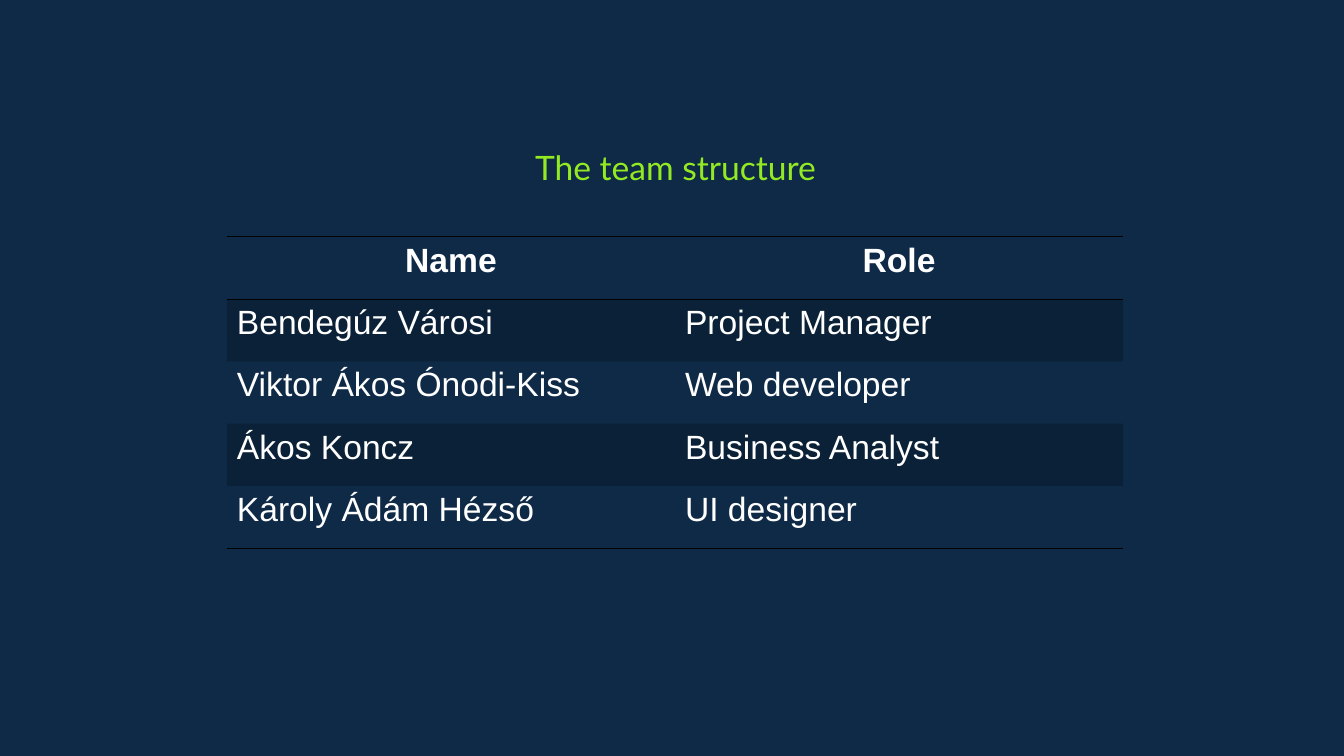
from lxml import etree
from pptx import Presentation
from pptx.dml.color import RGBColor
from pptx.enum.text import MSO_ANCHOR, PP_ALIGN
from pptx.oxml.ns import qn
from pptx.util import Inches, Pt

CENTER, LEFT, TOP = PP_ALIGN.CENTER, PP_ALIGN.LEFT, MSO_ANCHOR.TOP
NAVY = RGBColor(0x0E, 0x2A, 0x47)
LIME = RGBColor(0x94, 0xEA, 0x22)
WHITE = RGBColor(0xFF, 0xFF, 0xFF)
BLACK = RGBColor(0x00, 0x00, 0x00)
PLAIN_TABLE_STYLE = "{2D5ABB26-0587-4C30-8999-92F81FD0307C}"
TITLE_ONLY = 5

TEAM = [
    ("Name", "Role"),
    ("Bendegúz Városi", "Project Manager"),
    ("Viktor Ákos Ónodi-Kiss", "Web developer"),
    ("Ákos Koncz", "Business Analyst"),
    ("Károly Ádám Hézső", "UI designer"),
]


class TeamSlide:
    """Holds the style and the slide that shows the team."""

    title_font = "Lato"
    table_font = "Arial"
    text_size = Pt(24)
    rule_width = Pt(1)
    band_opacity = 20

    def __init__(self, presentation):
        self.slide = presentation.slides.add_slide(
            presentation.slide_layouts[TITLE_ONLY])
        fill = self.slide.background.fill
        fill.solid()
        fill.fore_color.rgb = NAVY

    def style(self, paragraph, font_name, color, alignment, bold=False):
        paragraph.alignment = alignment
        font = paragraph.font
        font.name, font.size, font.bold = font_name, self.text_size, bold
        font.color.rgb = color

    def title(self, text, left, top, width, height):
        title = self.slide.shapes.title
        title.left, title.top = Inches(left), Inches(top)
        title.width, title.height = Inches(width), Inches(height)
        frame = title.text_frame
        frame.text = text
        frame.vertical_anchor = TOP
        frame.margin_left = frame.margin_right = Inches(0.1)
        frame.margin_top = frame.margin_bottom = Inches(0.1)
        self.style(frame.paragraphs[0], self.title_font, LIME, CENTER)

    def rule(self, cell, edge):
        properties = cell._tc.get_or_add_tcPr()
        line = etree.SubElement(properties, qn(f"a:{edge}"), w=str(self.rule_width))
        fill = etree.SubElement(line, qn("a:solidFill"))
        etree.SubElement(fill, qn("a:srgbClr"), val=str(BLACK))

    def band(self, cell):
        cell.fill.solid()
        cell.fill.fore_color.rgb = BLACK
        color = cell._tc.tcPr.find(f".//{qn('a:solidFill')}[last()]/{qn('a:srgbClr')}")
        for color in cell._tc.tcPr.findall(f"{qn('a:solidFill')}/{qn('a:srgbClr')}"):
            etree.SubElement(color, qn("a:alpha"), val=str(self.band_opacity * 1000))

    def table(self, rows, left, top, width, height):
        table = self.slide.shapes.add_table(
            len(rows), len(rows[0]), Inches(left), Inches(top),
            Inches(width), Inches(height)).table
        table.first_row = table.horz_banding = False
        table._tbl.tblPr.find(qn("a:tableStyleId")).text = PLAIN_TABLE_STYLE
        for row, texts in enumerate(rows):
            header = row == 0
            for column, text in enumerate(texts):
                cell = table.cell(row, column)
                cell.text = text
                self.style(cell.text_frame.paragraphs[0], self.table_font, WHITE,
                           CENTER if header else LEFT, header)
                if header:
                    self.rule(cell, "lnT")
                if row in (0, len(rows) - 1):
                    self.rule(cell, "lnB")
                if row % 2:
                    self.band(cell)
                else:
                    cell.fill.background()


def main():
    presentation = Presentation()
    presentation.slide_width = Inches(13.33)
    presentation.slide_height = Inches(7.5)
    team_slide = TeamSlide(presentation)
    team_slide.title("The team structure", 1.56, 1.36, 10.28, 0.7)
    team_slide.table(TEAM, 2.25, 2.35, 8.89, 3.09)
    presentation.save("out.pptx")


if __name__ == "__main__":
    main()
